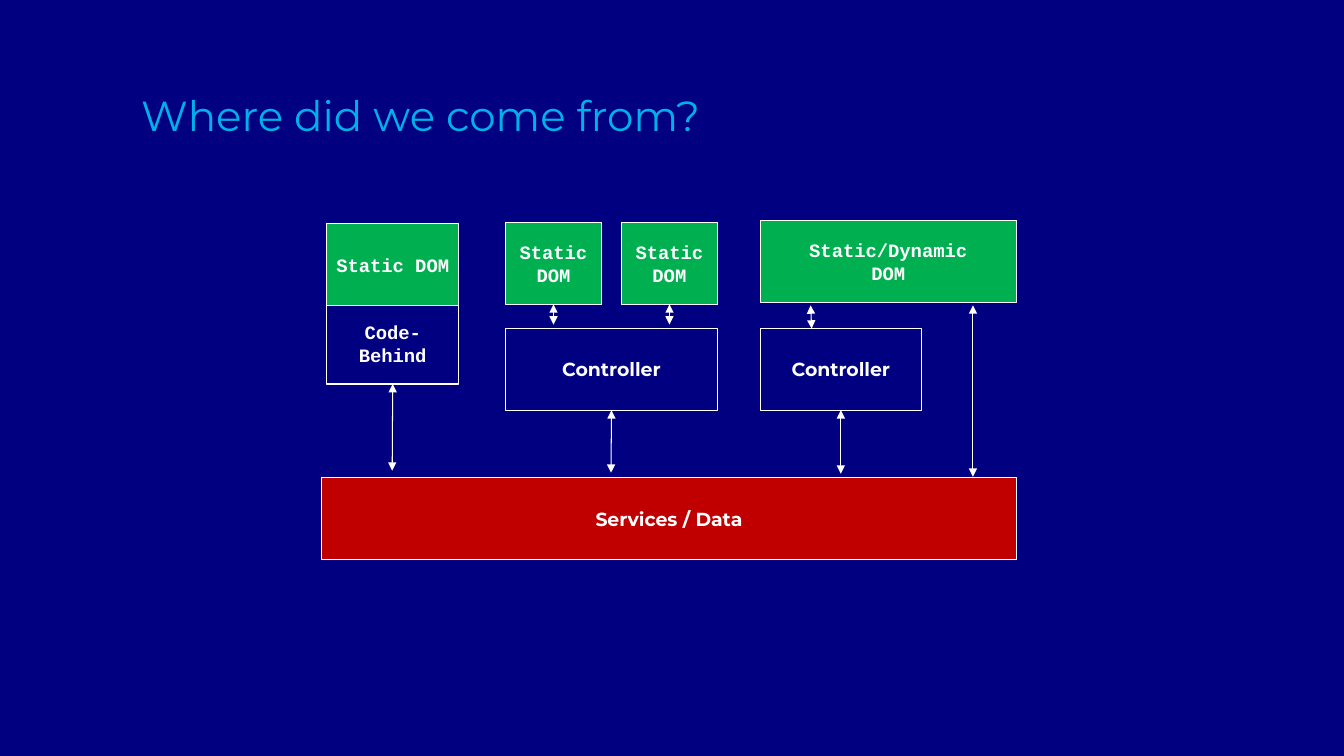
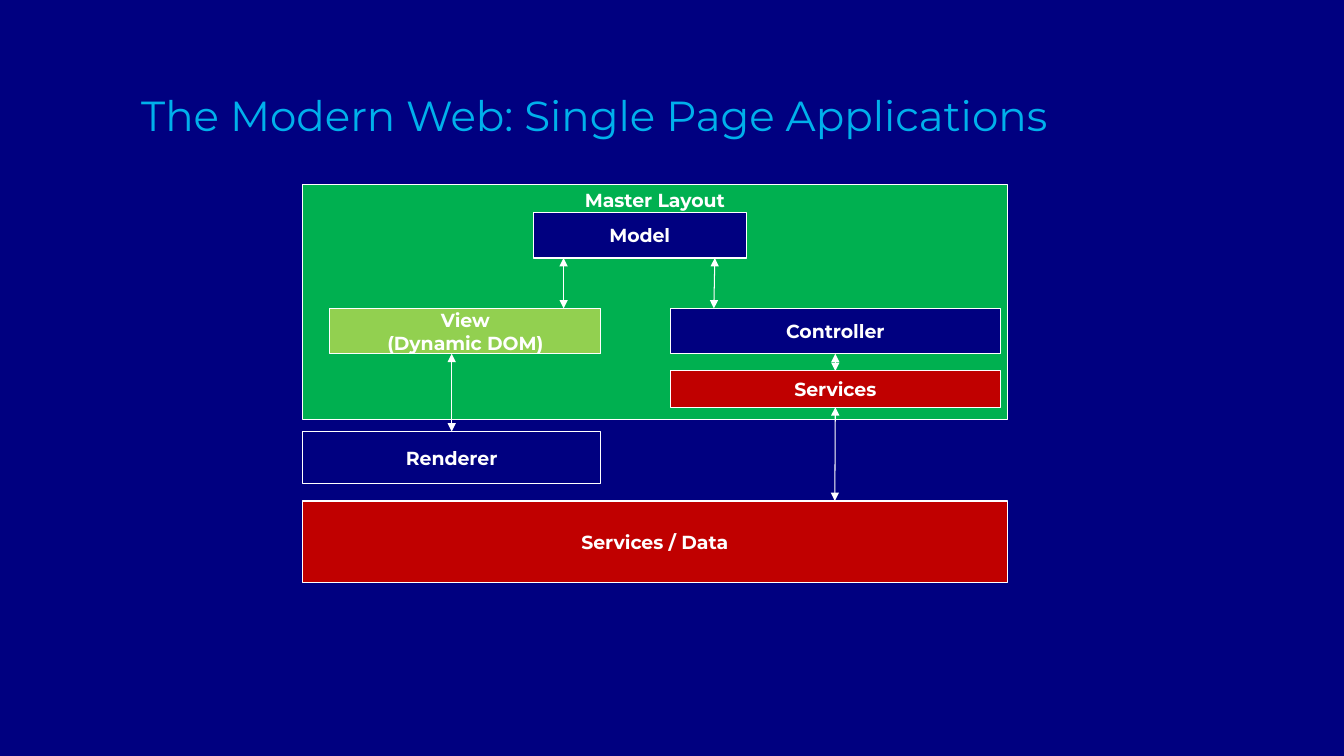
from lxml import etree
from pptx import Presentation, util as u
from pptx.dml.color import RGBColor
from pptx.enum import shapes, text
from pptx.oxml import ns

# Shared style
NAVY, RED, GREEN, LIME = "000080", "C00000", "00B050", "92D050"
WHITE, SKY = "FFFFFF", "00B0EB"
SANS, MONO = "Montserrat", "Courier New"
WIDE, HIGH = 13.33, 7.5
TALL, LOW = 0.81, 0.45  # box heights

# Slide 1 rows and columns
TOP, MID = 2.21, 3.26
PAIR, DOM, GAP = 5.01, 0.96, 0.19  # two pages over one controller
SPAN = 2 * DOM + GAP
TWIN = PAIR + DOM + GAP
RIGHT = 7.54

# Slide 2 rows and columns
LEFT, FULL = 3, 6.99
ROW, SIDE, HALF = 3.06, 6.65, 3.27

# Box: key, lines, left, top, width, height, fill, font
# Arrow: two ends, each (box key, side) or (x, y)
SLIDES = [
    {
        "title": "Where did we come from?",
        "boxes": [
            ("data", ["Services / Data"], 3.19, 4.74, 6.89, TALL, RED, SANS),
            ("code", ["Code-Behind"], 3.24, 3, 1.31, TALL, NAVY, MONO),
            ("page", ["Static DOM"], 3.24, 2.22, 1.31, TALL, GREEN, MONO),
            ("dom1", ["Static DOM"], PAIR, TOP, DOM, TALL, GREEN, MONO),
            ("ctrl1", ["Controller"], PAIR, MID, SPAN, TALL, NAVY, SANS),
            ("dom2", ["Static DOM"], TWIN, TOP, DOM, TALL, GREEN, MONO),
            ("ctrl2", ["Controller"], RIGHT, MID, 1.6, TALL, NAVY, SANS),
            ("mixed", ["Static/Dynamic", "DOM"],
             RIGHT, 2.19, 2.54, TALL, GREEN, MONO),
        ],
        "arrows": [
            (("code", 2), (3.89, 4.67)),
            (("dom1", 2), (5.49, 3.22)),
            (("dom2", 2), (6.64, 3.22)),
            (("ctrl1", 2), (6.06, 4.69)),
            ((8.04, 3.03), (8.05, MID)),
            ((9.65, 3.03), (9.65, 4.73)),
            (("ctrl2", 2), (8.34, 4.7)),
        ],
    },
    {
        "title": "The Modern Web: Single Page Applications",
        "boxes": [
            ("data", ["Services / Data"], LEFT, 4.97, FULL, TALL, RED, SANS),
            ("master", ["Master Layout"], LEFT, 1.83, FULL, 2.33, GREEN, SANS),
            ("ctrl", ["Controller"], SIDE, ROW, HALF, LOW, NAVY, SANS),
            ("model", ["Model"], 5.29, 2.11, 2.11, LOW, NAVY, SANS),
            ("view", ["View", "(Dynamic DOM)"],
             3.27, ROW, 2.69, LOW, LIME, SANS),
            ("render", ["Renderer"], LEFT, 4.28, 2.96, 0.52, NAVY, SANS),
            ("serve", ["Services"], SIDE, 3.68, HALF, 0.36, RED, SANS),
        ],
        "arrows": [
            ((7.09, 2.56), (7.08, ROW)),
            ((5.59, 2.56), (5.59, ROW)),
            (("render", 0), (4.48, ROW + LOW)),
            (("serve", 2), (8.28, 4.97)),
            (("serve", 0), ("ctrl", 2)),
        ],
    },
]


def rgb(code):
    return RGBColor.from_string(code)


def place(shape, *box):
    shape.left, shape.top, shape.width, shape.height = map(u.Inches, box)


def write(par, words, size, font, color, bold=False):
    run = par.add_run()
    run.text = words
    run.font.size, run.font.name, run.font.bold = u.Pt(size), font, bold
    run.font.color.rgb = rgb(color)


def add_box(slide, lines, left, top, wide, high, fill, font, anchor):
    box = slide.shapes.add_shape(shapes.MSO_SHAPE.RECTANGLE,
                                 *map(u.Inches, (left, top, wide, high)))
    box.shadow.inherit = False
    box.fill.solid()
    box.fill.fore_color.rgb = rgb(fill)
    box.line.color.rgb = rgb(WHITE)
    box.line.width = u.Pt(0.75)
    frame = box.text_frame
    frame.word_wrap = True
    frame.vertical_anchor = anchor
    frame.margin_left = frame.margin_right = u.Inches(0.07)
    frame.margin_top = frame.margin_bottom = u.Inches(0.04)
    for i, words in enumerate(lines):
        par = frame.add_paragraph() if i else frame.paragraphs[0]
        par.alignment = text.PP_ALIGN.CENTER
        write(par, words, 13.5, font, WHITE, True)
    return box


def add_arrow(slide, boxes, ends):
    spots = [(0, 0) if end[0] in boxes else end for end in ends]
    line = slide.shapes.add_connector(
        shapes.MSO_CONNECTOR.STRAIGHT,
        *[u.Inches(n) for spot in spots for n in spot])
    for end, join in zip(ends, (line.begin_connect, line.end_connect)):
        if end[0] in boxes:
            join(boxes[end[0]], end[1])
    line.line.color.rgb = rgb(WHITE)
    line.line.width = u.Pt(0.75)
    stroke = line.line._get_or_add_ln()
    for tag in ("a:headEnd", "a:tailEnd"):
        etree.SubElement(stroke, ns.qn(tag), type="triangle")
    etree.SubElement(line._element.spPr, ns.qn("a:effectLst"))


def main():
    deck = Presentation()
    deck.slide_width, deck.slide_height = u.Inches(WIDE), u.Inches(HIGH)

    # Shared background and title place
    back = deck.slide_master.background.fill
    back.solid()
    back.fore_color.rgb = rgb(NAVY)
    layout = deck.slide_layouts[5]
    head = layout.placeholders[0]
    place(head, 1.3, 0.14, 10.75, 1.3)
    head.text_frame.vertical_anchor = text.MSO_ANCHOR.BOTTOM
    head.text_frame.auto_size = text.MSO_AUTO_SIZE.NONE

    for page in SLIDES:
        slide = deck.slides.add_slide(layout)
        par = slide.shapes.title.text_frame.paragraphs[0]
        par.alignment = text.PP_ALIGN.LEFT
        write(par, page["title"], 30, SANS, SKY)
        boxes = {}
        for key, *rest in page["boxes"]:
            anchor = (text.MSO_ANCHOR.TOP if key == "master"
                      else text.MSO_ANCHOR.MIDDLE)
            boxes[key] = add_box(slide, *rest, anchor)
        for ends in page["arrows"]:
            add_arrow(slide, boxes, ends)

    deck.save("out.pptx")


if __name__ == "__main__":
    main()
